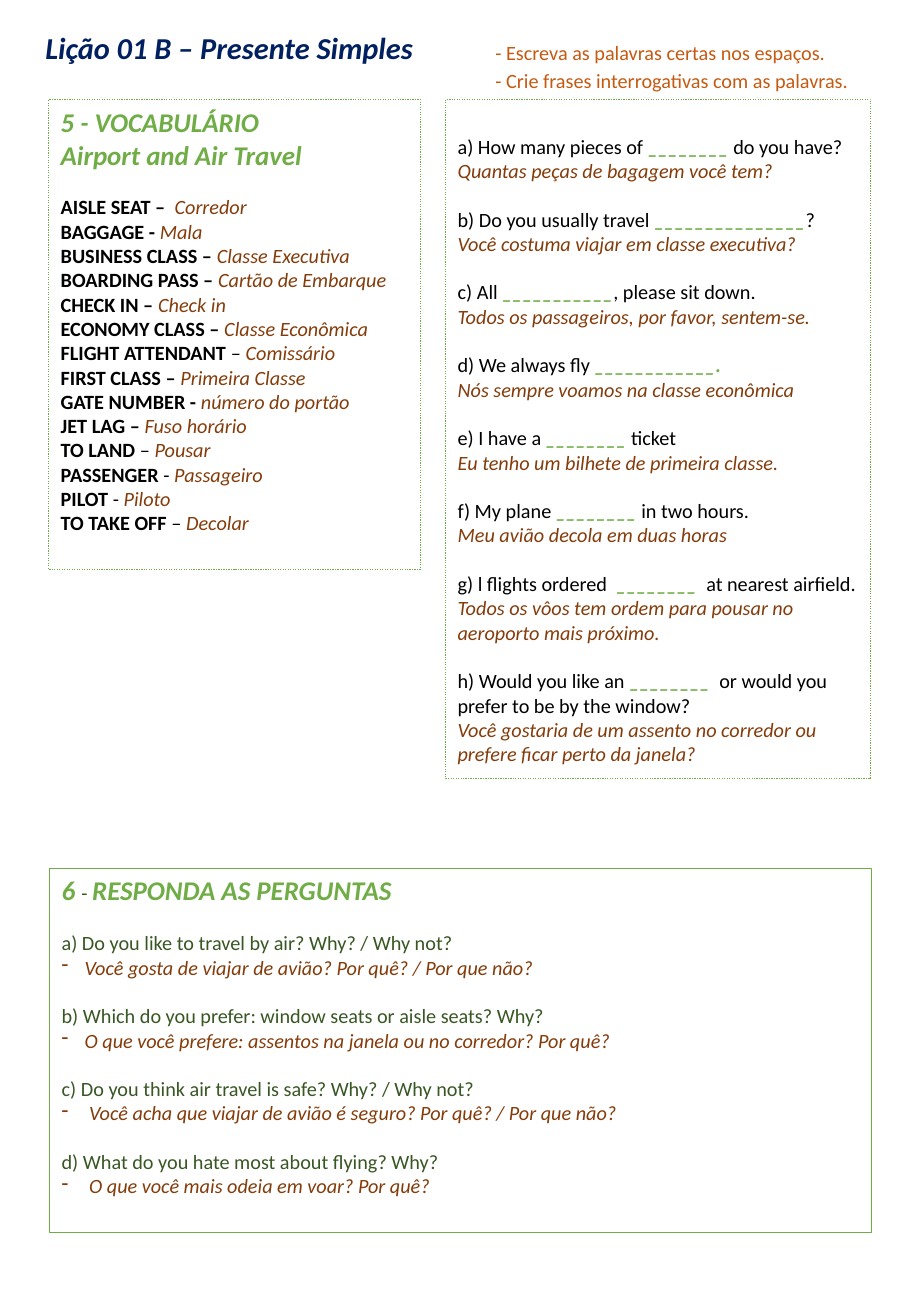
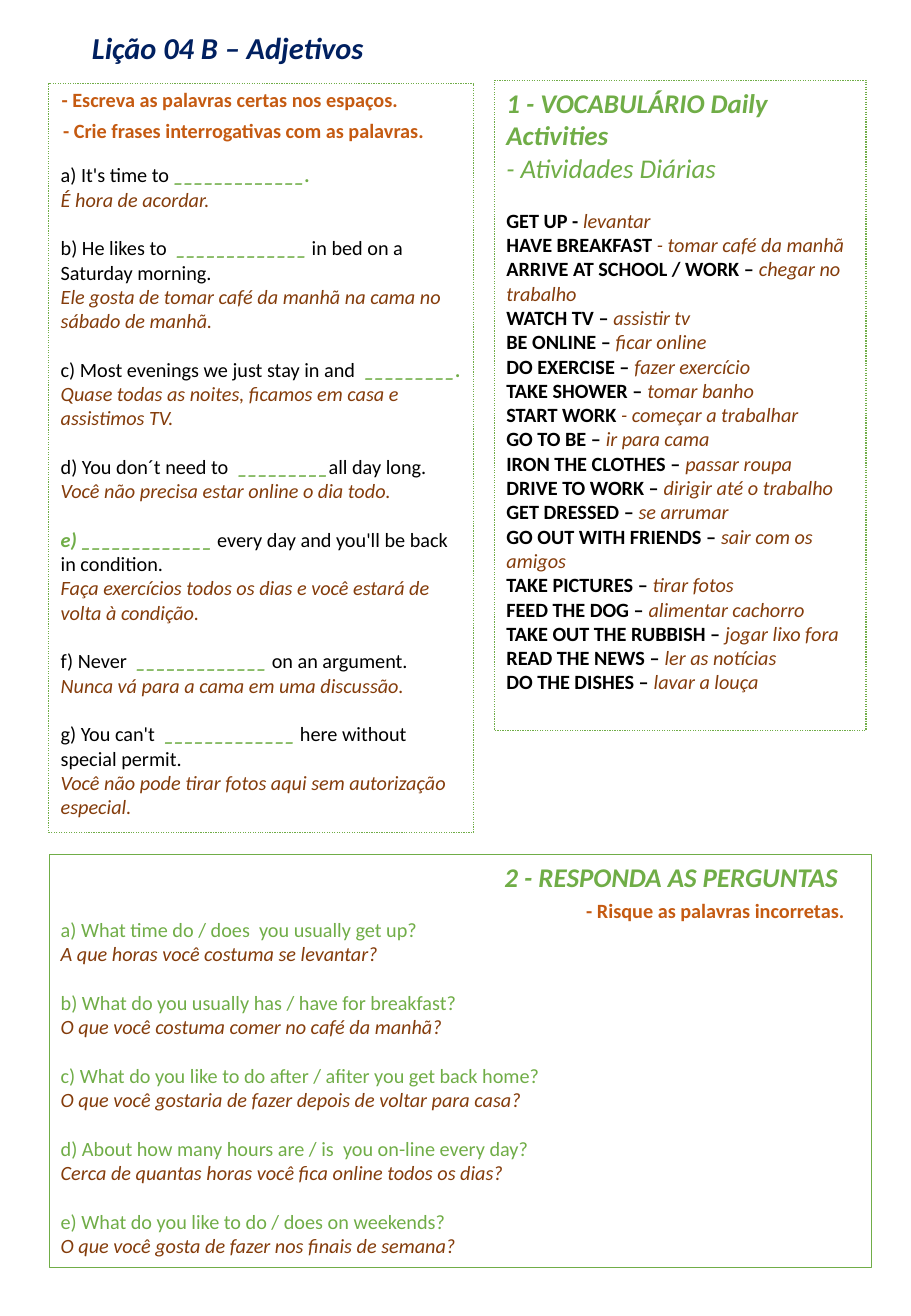
import pptx
import pptx.dml.color
import pptx.enum.dml
import pptx.enum.shapes
import pptx.enum.text
import pptx.oxml.ns
import pptx.util
import lxml.etree

Cm = pptx.util.Cm
Pt = pptx.util.Pt

GREEN, BROWN, RUST = "70AD47", "843C0B", "C55A11"
NAVY, MOSS, BLACK = "002060", "385723", "000000"
HEAD = dict(size=16, tint=GREEN, bold=True, slant=True)
GLOSS = dict(tint=BROWN, slant=True)
BLANK = dict(tint=GREEN, bold=True, slant=True)
GAP = 14.4


def shade(code):
    return pptx.dml.color.RGBColor.from_string(code)


def put(par, text, size=12, tint=BLACK, bold=False, slant=False):
    run = par.add_run()
    run.text = text
    font = run.font
    font.name = "Calibri"
    font.size = Pt(size)
    font.bold = bold
    font.italic = slant
    font.color.rgb = shade(tint)


class Sheet:
    def __init__(self, deck):
        self.slide = deck.slides.add_slide(deck.slide_layouts[6])
        self.frame = None
        self.fresh = True

    def start(self, frame, wrap=True, top=0.13):
        frame.word_wrap = wrap
        frame.vertical_anchor = pptx.enum.text.MSO_ANCHOR.TOP
        frame.margin_top = Cm(top)
        self.frame = frame
        self.fresh = True

    def line(self, gap=0, dent=0, mark=None):
        par = self.frame.paragraphs[0] if self.fresh else self.frame.add_paragraph()
        par.alignment = pptx.enum.text.PP_ALIGN.LEFT
        if gap and not self.fresh:
            par.space_before = Pt(gap)
        self.fresh = False
        props = par._p.get_or_add_pPr()
        if dent:
            props.set("marL", str(Cm(dent)))
        if mark:
            props.set("indent", str(-Cm(dent)))
            lxml.etree.SubElement(props, pptx.oxml.ns.qn("a:buChar")).set("char", mark)
        return par

    def box(self, left, top, width, height, dots=True, inset=0.13):
        shape = self.slide.shapes.add_shape(
            pptx.enum.shapes.MSO_SHAPE.RECTANGLE, Cm(left), Cm(top), Cm(width), Cm(height))
        shape.shadow.inherit = False
        shape.fill.background()
        shape.line.color.rgb = shade(GREEN)
        shape.line.width = Pt(0.75 if dots else 0.25)
        if dots:
            shape.line.dash_style = pptx.enum.dml.MSO_LINE.ROUND_DOT
        self.start(shape.text_frame, top=inset)

    def label(self, text, left, top, width, height=0.76, wrap=True, **form):
        area = self.slide.shapes.add_textbox(Cm(left), Cm(top), Cm(width), Cm(height))
        self.start(area.text_frame, wrap)
        par = self.line()
        put(par, text, **form)
        return par

    def title(self, text, left, width):
        par = self.label(text, left, 0.43, width, 1.04, wrap=False,
                         size=18, tint=NAVY, bold=True, slant=True)
        par.alignment = pptx.enum.text.PP_ALIGN.CENTER
        par.line_spacing = 1.07

    def hint(self, text, left, top, width, bold=False):
        self.label(text, left, top, width, tint=RUST, bold=bold)

    def words(self, rows):
        for place, row in enumerate(rows):
            term, *dash, gloss = row.split("|")
            par = self.line(0 if place else GAP)
            put(par, term, bold=True)
            for part in dash:
                put(par, part)
            put(par, gloss, **GLOSS)

    def drill(self, rows):
        for ask, gloss in rows:
            par = self.line(GAP)
            for place, part in enumerate(ask.split("|")):
                if part:
                    put(par, part, **(BLANK if place % 2 else {}))
            put(self.line(), gloss, **GLOSS)

    def quiz(self, rows, tint, **form):
        for ask, gloss in rows:
            put(self.line(GAP), ask, tint=tint)
            put(self.line(**form), gloss, **GLOSS)


FILL = "- Escreva as palavras certas nos espaços."
FORM = "- Crie frases interrogativas com as palavras."

TRAVEL = [
    "AISLE SEAT –  |Corredor",
    "BAGGAGE - |Mala",
    "BUSINESS CLASS – |Classe Executiva",
    "BOARDING PASS – |Cartão de Embarque",
    "CHECK IN – |Check in",
    "ECONOMY CLASS – |Classe Econômica",
    "FLIGHT ATTENDANT |– |Comissário",
    "FIRST CLASS – |Primeira Classe",
    "GATE NUMBER - |número do portão",
    "JET LAG – |Fuso horário",
    "TO LAND |– |Pousar",
    "PASSENGER| - |Passageiro",
    "PILOT |- |Piloto",
    "TO TAKE OFF |– |Decolar",
]
FLIGHT = [
    ("a) How many pieces of |________ |do you have?",
     "Quantas peças de bagagem você tem?"),
    ("b) Do you usually travel |_______________|?",
     "Você costuma viajar em classe executiva?"),
    ("c) All |___________|, please sit down.",
     "Todos os passageiros, por favor, sentem-se."),
    ("d) We always fly |____________.",
     "Nós sempre voamos na classe econômica"),
    ("e) I have a |________ |ticket",
     "Eu tenho um bilhete de primeira classe."),
    ("f) My plane |________ |in two hours.",
     "Meu avião decola em duas horas"),
    ("g) l flights ordered | ________  |at nearest airfield.",
     "Todos os vôos tem ordem para pousar no aeroporto mais próximo."),
    ("h) Would you like an |________ | or would you prefer to be by the window?",
     "Você gostaria de um assento no corredor ou prefere ficar perto da janela?"),
]
TRIPS = [
    ("a) Do you like to travel by air? Why? / Why not?",
     "Você gosta de viajar de avião? Por quê? / Por que não?"),
    ("b) Which do you prefer: window seats or aisle seats? Why?",
     "O que você prefere: assentos na janela ou no corredor? Por quê?"),
    ("c) Do you think air travel is safe? Why? / Why not?",
     " Você acha que viajar de avião é seguro? Por quê? / Por que não?"),
    ("d) What do you hate most about flying? Why?",
     " O que você mais odeia em voar? Por quê?"),
]
DAILY = [
    "GET UP - |levantar",
    "HAVE BREAKFAST |- tomar café da manhã",
    "ARRIVE AT SCHOOL / WORK – |chegar no trabalho",
    "WATCH TV – |assistir tv",
    "BE ONLINE – |ficar online",
    "DO EXERCISE – |fazer exercício",
    "TAKE SHOWER – |tomar banho",
    "START WORK |- começar a trabalhar",
    "GO TO BE – |ir para cama",
    "IRON THE CLOTHES – |passar roupa",
    "DRIVE TO WORK – |dirigir até o trabalho",
    "GET DRESSED – |se arrumar",
    "GO OUT WITH FRIENDS – |sair com os amigos",
    "TAKE PICTURES – |tirar fotos",
    "FEED THE DOG – |alimentar cachorro",
    "TAKE OUT THE RUBBISH – |jogar lixo fora",
    "READ THE NEWS – |ler as notícias",
    "DO THE DISHES – |lavar a louça",
]
TASKS = [
    ("a) It's time to |_____________.",
     "É hora de acordar."),
    ("b) He likes to  |_____________| in bed on a Saturday morning.",
     "Ele gosta de tomar café da manhã na cama no sábado de manhã."),
    ("c) Most evenings we just stay in and | _________.",
     "Quase todas as noites, ficamos em casa e assistimos TV."),
    ("d) You don´t need to | _________|all day long.",
     "Você não precisa estar online o dia todo."),
    ("|e) _____________| every day and you'll be back in condition.",
     "Faça exercícios todos os dias e você estará de volta à condição."),
    ("f) Never  |_____________| on an argument.",
     "Nunca vá para a cama em uma discussão."),
    ("g) You can't  |_____________| here without special permit.",
     "Você não pode tirar fotos aqui sem autorização especial."),
]
HABITS = [
    ("a) What time do / does  you usually get up?",
     "A que horas você costuma se levantar?"),
    ("b) What do you usually has / have for breakfast?",
     "O que você costuma comer no café da manhã?"),
    ("c) What do you like to do after / afiter you get back home?",
     "O que você gostaria de fazer depois de voltar para casa?"),
    ("d) About how many hours are / is  you on-line every day?",
     "Cerca de quantas horas você fica online todos os dias?"),
    ("e) What do you like to do / does on weekends?",
     "O que você gosta de fazer nos finais de semana?"),
]


def airport(deck):
    sheet = Sheet(deck)
    sheet.box(1.02, 2.08, 7.77, 9.83)
    for text in ("5 - VOCABULÁRIO", "Airport and Air Travel"):
        put(sheet.line(), text, **HEAD)
    sheet.words(TRAVEL)
    sheet.box(9.32, 2.08, 8.89, 14.2, inset=0.72)
    sheet.drill(FLIGHT)
    sheet.title("Lição 01 B – Presente Simples", 0.64, 8.31)
    sheet.box(1.04, 18.14, 17.17, 7.62, dots=False)
    par = sheet.line()
    put(par, "6 ", **HEAD)
    put(par, "- ", tint=MOSS)
    put(par, "RESPONDA AS PERGUNTAS", **HEAD)
    sheet.quiz(TRIPS, MOSS, dent=0.48, mark="-")
    sheet.hint(FORM, 10.11, 1.3, 8.9)
    sheet.hint(FILL, 10.11, 0.71, 8.9)


def routine(deck):
    sheet = Sheet(deck)
    sheet.box(1.02, 1.75, 8.89, 15.65, inset=1.65)
    sheet.drill(TASKS)
    sheet.title("Lição 04 B – Adjetivos", 1.63, 6.27)
    sheet.box(1.02, 17.86, 17.2, 8.64, dots=False)
    put(sheet.line(dent=9.28), "2 - RESPONDA AS PERGUNTAS", **HEAD)
    sheet.quiz(HABITS, GREEN)
    sheet.box(10.34, 1.68, 7.77, 13.59)
    put(sheet.line(), "1 - VOCABULÁRIO Daily Activities", **HEAD)
    put(sheet.line(), "- Atividades Diárias", size=16, tint=GREEN, slant=True)
    sheet.words(DAILY)
    sheet.hint(FORM, 1.07, 2.34, 9.53, bold=True)
    sheet.hint(FILL, 1.04, 1.7, 9.53, bold=True)
    sheet.hint("- Risque as palavras incorretas.", 12.01, 18.64, 6.22, bold=True)


def main():
    deck = pptx.Presentation()
    deck.slide_width = Cm(19.05)
    deck.slide_height = Cm(27.51)
    airport(deck)
    routine(deck)
    deck.save("out.pptx")


if __name__ == "__main__":
    main()
